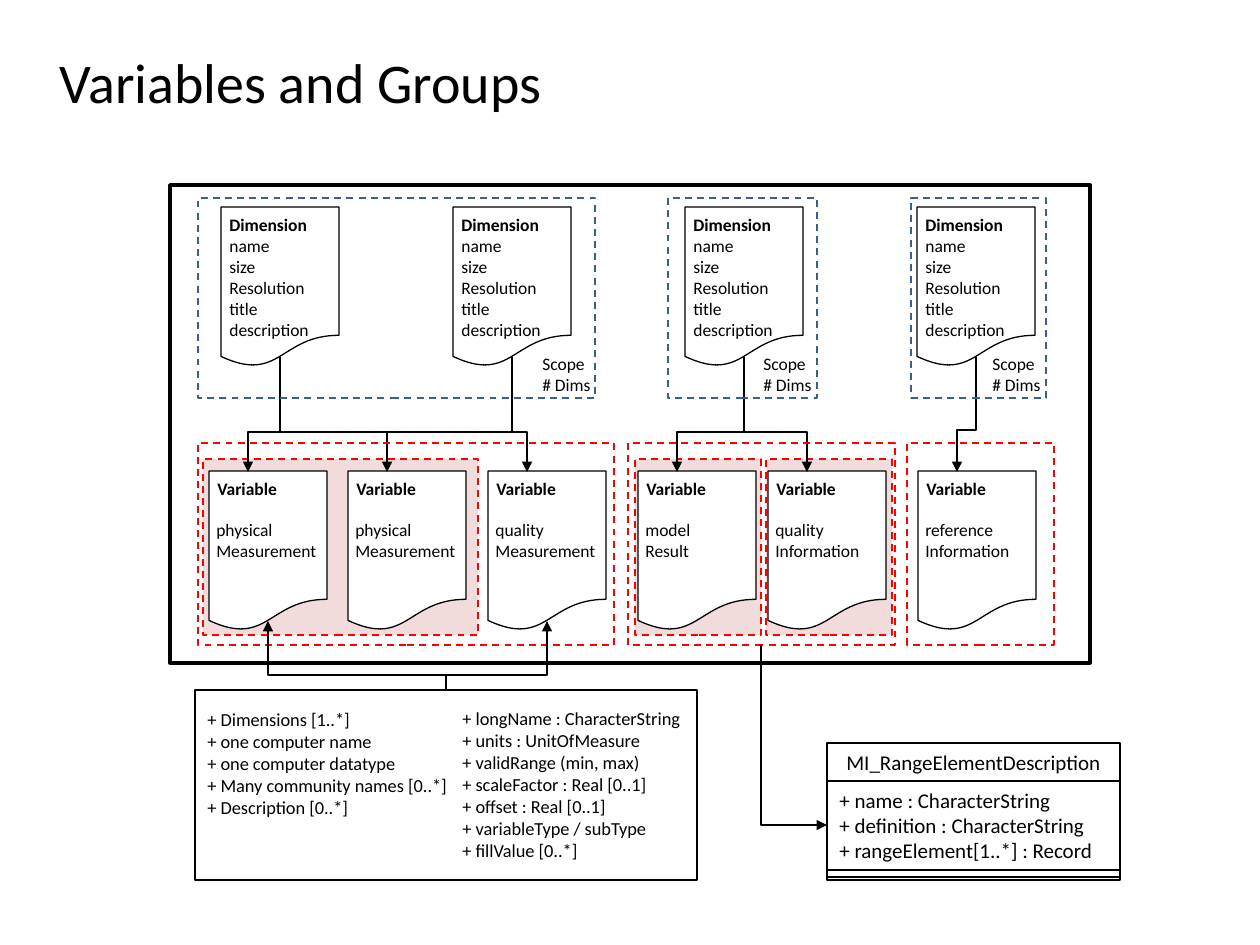
from lxml import etree
from pptx import Presentation
from pptx.dml.color import RGBColor
from pptx.enum.dml import MSO_LINE
from pptx.enum.shapes import MSO_CONNECTOR, MSO_SHAPE
from pptx.enum.text import MSO_ANCHOR, MSO_AUTO_SIZE, PP_ALIGN
from pptx.oxml.ns import qn
from pptx.util import Emu, Pt

RECT = MSO_SHAPE.RECTANGLE
DOCUMENT = MSO_SHAPE.FLOWCHART_DOCUMENT
DASH = MSO_LINE.DASH
LEFT, CENTER = PP_ALIGN.LEFT, PP_ALIGN.CENTER

FONT = "Calibri"
BLACK, WHITE, RED, BLUE, PINK = "000000", "FFFFFF", "FF0000", "3A5F8C", "F2DCDB"
EMU_PER_PX = 914400 / 126

DIM_Y, VAR_Y, DOC_W, DOC_H = 207, 471, 118, 160
DIM_XS = [221 + 232 * i for i in range(4)]
DIM_LINES = ["Dimension", "name", "size", "Resolution", "title", "description"]

# x, kind, kind text width, indices of its dimensions, height of the bend
VARIABLES = [
    (209, ["physical", "Measurement"], 128, [1], 432),
    (348, ["physical", "Measurement"], 128, [0], 432),
    (488, ["quality", "Measurement"], 128, [0], 432),
    (638, ["model", "Result"], 72, [2], 432),
    (768, ["quality", "Information"], 111, [2], 432),
    (918, ["reference", "Information"], 111, [3], 430),
]
SCOPES = [(198, 397, 530), (668, 149, 751), (911, 135, 980)]
VARIABLE_GROUPS = [(198, 416), (628, 267), (907, 147)]
RANGE_GROUPS = [(766, 126), (635, 126), (203, 275)]

ATTRIBUTES = ["+ Dimensions [1..*]", "+ one computer name", "+ one computer datatype",
              "+ Many community names [0..*]", "+ Description [0..*]"]
OPTIONS = ["+ longName : CharacterString", "+ units : UnitOfMeasure",
           "+ validRange (min, max)", "+ scaleFactor : Real [0..1]",
           "+ offset : Real [0..1]", "+ variableType / subType", "+ fillValue [0..*]"]
RANGE_FIELDS = ["+ name : CharacterString", "+ definition : CharacterString",
                "+ rangeElement[1..*] : Record"]


def px(n):
    return Emu(round(n * EMU_PER_PX))


def rgb(color):
    return RGBColor.from_string(color)


def write(tf, lines, size, bold_first=False, align=LEFT):
    for i, line in enumerate(lines):
        p = tf.paragraphs[0] if i == 0 else tf.add_paragraph()
        p.alignment = align
        r = p.add_run()
        r.text = line
        r.font.name, r.font.size = FONT, Pt(size)
        r.font.bold = bold_first and i == 0
        r.font.color.rgb = rgb(BLACK)


def add_box(slide, box, fill=None, line=BLACK, width=0.75, dash=None, kind=RECT):
    sp = slide.shapes.add_shape(kind, *map(px, box))
    sp.shadow.inherit = False
    if fill:
        sp.fill.solid()
        sp.fill.fore_color.rgb = rgb(fill)
    else:
        sp.fill.background()
    sp.line.color.rgb = rgb(line)
    sp.line.width = Pt(width)
    if dash:
        sp.line.dash_style = dash
    return sp


def add_text(slide, box, lines, size=10, bold_first=False, wrap=False):
    tf = slide.shapes.add_textbox(*map(px, box)).text_frame
    tf.word_wrap = wrap
    tf.auto_size = MSO_AUTO_SIZE.SHAPE_TO_FIT_TEXT
    write(tf, lines, size, bold_first)


def add_class_row(slide, box, lines, align=LEFT):
    tf = add_box(slide, box, WHITE).text_frame
    tf.word_wrap = True
    tf.vertical_anchor = MSO_ANCHOR.TOP
    write(tf, lines, 12, align=align)


def add_document(slide, x, y, lines, text_w, text_h):
    add_box(slide, (x, y, DOC_W, DOC_H), WHITE, kind=DOCUMENT)
    add_text(slide, (x - 4, y + 1, text_w, text_h), lines, bold_first=True)


def add_bent(slide, box, rotation, flip, width, arrow_end, kind="bentConnector3", bend=None):
    """Bent connector whose box is given before rotation; bend is a share of its length."""
    x, y, w, h = box
    c = slide.shapes.add_connector(MSO_CONNECTOR.ELBOW, px(x), px(y), px(x + w), px(y + h))
    c.line.color.rgb = rgb(BLACK)
    c.line.width = Pt(width)
    sp_pr = c._element.spPr
    xfrm = sp_pr.find(qn("a:xfrm"))
    xfrm.set("rot", str(rotation * 60000))
    if flip:
        xfrm.set("flipH", "1")
    geom = sp_pr.find(qn("a:prstGeom"))
    geom.set("prst", kind)
    if bend is not None:
        guides = geom.find(qn("a:avLst"))
        if guides is None:
            guides = etree.SubElement(geom, qn("a:avLst"))
        etree.SubElement(guides, qn("a:gd"), name="adj1", fmla=f"val {round(bend * 100000)}")
    etree.SubElement(sp_pr.find(qn("a:ln")), qn(f"a:{arrow_end}"), type="triangle")
    etree.SubElement(sp_pr, qn("a:effectLst"))


def add_drop(slide, x1, y1, x2, y2, bend_y, width, arrow_end):
    """Goes down from (x1, y1), across at bend_y, and down to (x2, y2)."""
    length, across = y2 - y1, abs(x2 - x1)
    box = ((x1 + x2 - length) / 2, (y1 + y2 - across) / 2, length, across)
    rightward = x2 > x1
    add_bent(slide, box, 270 if rightward else 90, rightward, width, arrow_end,
             bend=(bend_y - y1) / length)


def add_title(slide):
    title = slide.shapes.title
    title.left, title.top, title.width, title.height = map(px, (47, 43, 622, 77))
    title.text_frame.vertical_anchor = MSO_ANCHOR.MIDDLE
    title.text_frame.word_wrap = True
    write(title.text_frame, ["Variables and Groups"], 32)


def add_data_model(slide):
    # Frame and shaded range groups
    add_box(slide, (170, 185, 920, 478), WHITE, width=2)
    for x, w in RANGE_GROUPS:
        add_box(slide, (x, 459, w, 176), PINK, RED, 1, DASH)

    # Dimensions and variables
    for x in DIM_XS:
        add_document(slide, x, DIM_Y, DIM_LINES, 106, 140)
    for x, *_ in VARIABLES:
        add_document(slide, x, VAR_Y, ["Variable"], 87, 34)
    for x, _, _, dims, bend_y in VARIABLES:
        for i in dims:
            add_drop(slide, DIM_XS[i] + 59, 357, x + 39, 472, bend_y, 1.5, "tailEnd")

    # Dashed outlines and their captions
    for x, w, caption_x in SCOPES:
        add_box(slide, (x, 198, w, 200), None, BLUE, 1, DASH)
        add_text(slide, (caption_x, 347, 76, 55), ["Scope", "# Dims"])
    for x, w in VARIABLE_GROUPS:
        add_box(slide, (x, 443, w, 202), None, RED, 1, DASH)
    for x, kind, w, *_ in VARIABLES:
        add_text(slide, (x - 5, 513, w, 55), kind)


def add_details(slide):
    # Variable attributes
    add_text(slide, (195, 702, 270, 123), ATTRIBUTES, 10.5)
    add_text(slide, (450, 701, 248, 169), OPTIONS, 10.5, wrap=True)
    add_box(slide, (195, 690, 502, 190), width=1)
    for x in (547, 268):
        add_drop(slide, x, 621, 446, 690, 675, 0.75, "headEnd")

    # Range element class
    add_bent(slide, (761, 645, 66, 180), 180, False, 0.75, "headEnd", "bentConnector2")
    add_box(slide, (827, 869, 293, 11))
    add_class_row(slide, (827, 743, 293, 38), ["MI_RangeElementDescription"], CENTER)
    add_class_row(slide, (827, 781, 293, 89), RANGE_FIELDS)
    add_box(slide, (827, 870, 293, 7), WHITE)


def main():
    prs = Presentation()
    prs.slide_width, prs.slide_height = px(1260), px(945)
    slide = prs.slides.add_slide(prs.slide_layouts[5])
    add_title(slide)
    add_data_model(slide)
    add_details(slide)
    prs.save("out.pptx")


if __name__ == "__main__":
    main()
